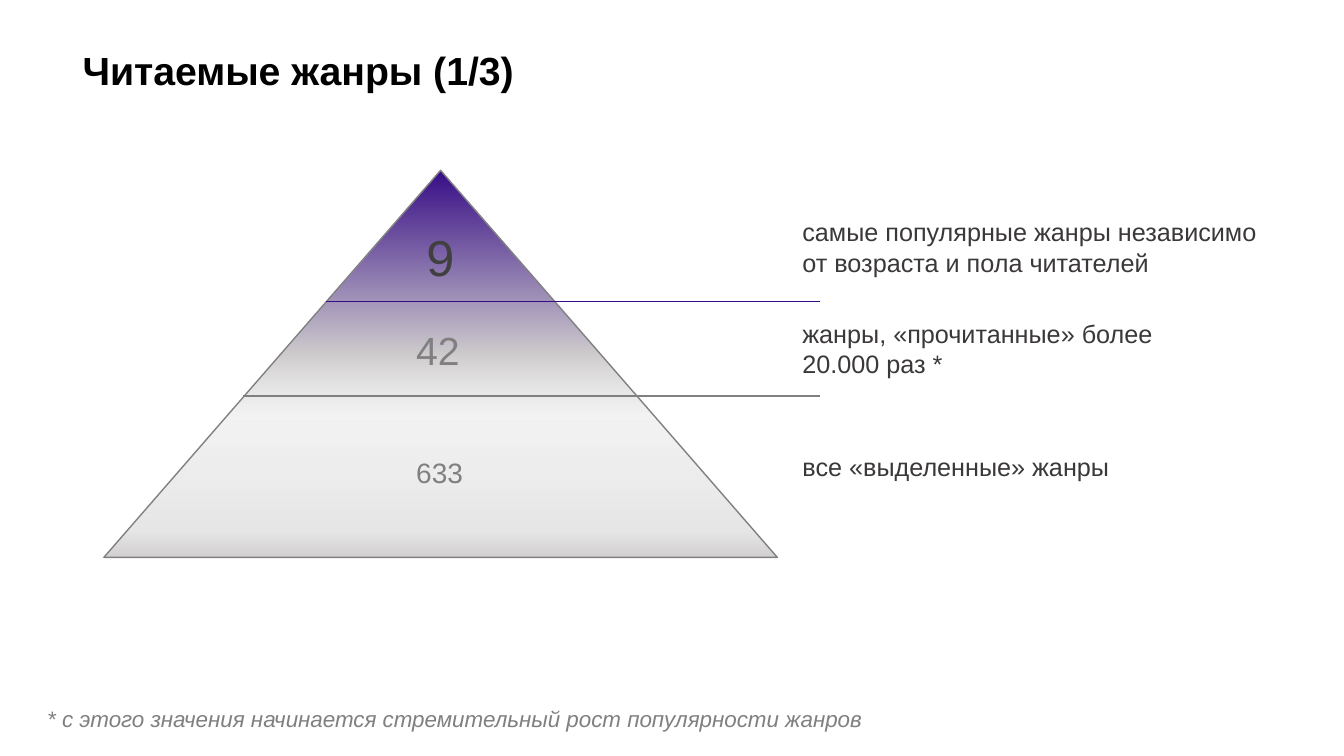
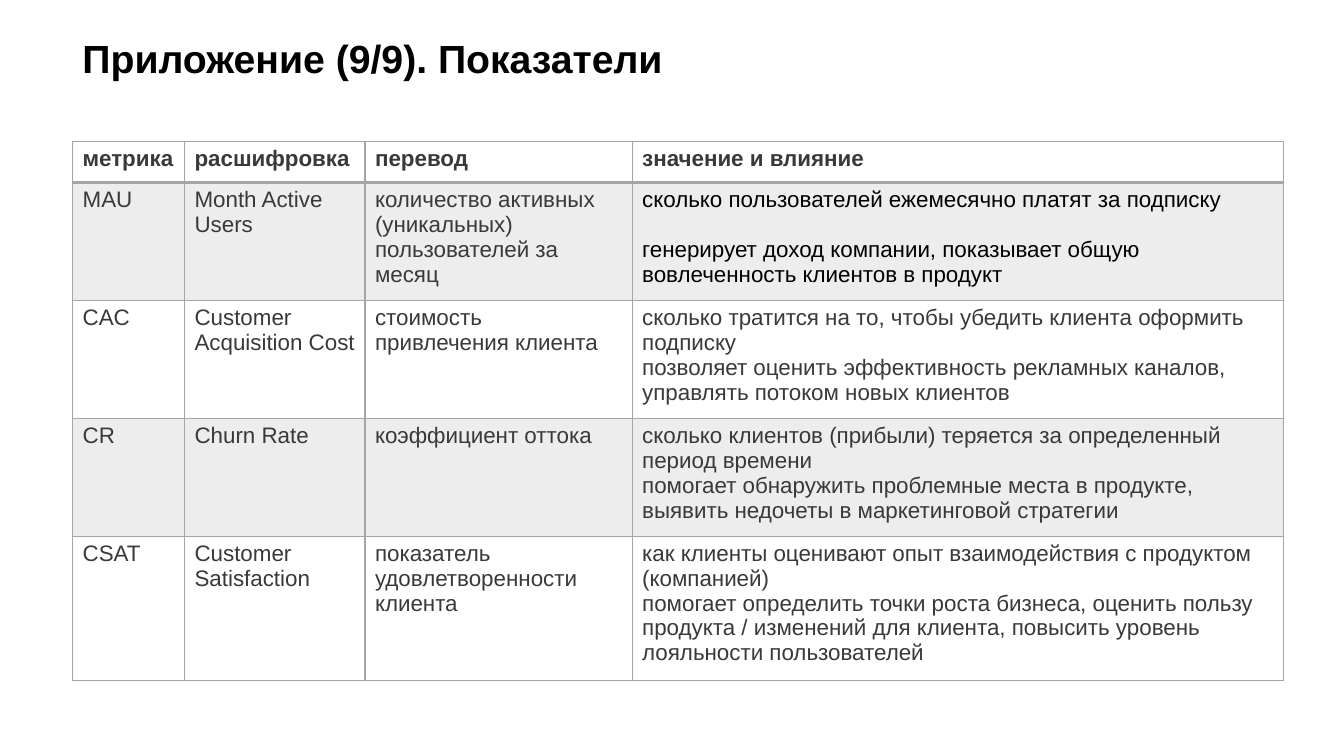
from dataclasses import dataclass

from lxml.etree import SubElement as Sub
from pptx import Presentation
from pptx.dml.color import RGBColor as Rgb
from pptx.enum.shapes import MSO_CONNECTOR as Con, MSO_SHAPE as Shp
from pptx.enum.text import MSO_AUTO_SIZE as Fit
from pptx.oxml.ns import qn
from pptx.util import Emu, Pt

PX = 9144
FONT = "Arial"
HEX = {
    "black": "000000",
    "ink": "3B3838",
    "dark": "404040",
    "grey": "808080",
    "violet": "370D86",
    "edge": "A5A5A5",
    "band": "EDEDED",
    "stone": "D0CECE",
    "pale": "E9E8E8",
    "light": "E7E6E6",
}
TITLE = {"size": Pt(28), "bold": True}
NOTE = {"size": Pt(16), "italic": True}
HEAD = {"size": Pt(16), "bold": True}
BODY = {"size": Pt(16), "bold": False}


@dataclass
class Label:
    text: str
    x: int
    y: int
    w: int
    h: int
    form: dict
    tint: str
    wrap: bool = True


@dataclass
class Rule:
    x: int
    y: int
    tint: str
    width: float


@dataclass
class Row:
    cells: tuple
    high: int
    tint: str = "ink"
    gap: float = 0


RIGHT = 813
STOPS = (
    (0, "violet", 100),
    (48, "stone", 100),
    (63, "pale", 52),
    (93, "light", 100),
    (100, "stone", 100),
)
RULES = (Rule(241, 393, "grey", 1.5), Rule(323, 299, "violet", 0.75))
LABELS = (
    Label("9", 413, 219, 48, 71, {"size": Pt(36)}, "dark", False),
    Label("42", 403, 319, 67, 57, {"size": Pt(28)}, "grey"),
    Label("633", 403, 447, 67, 44, {"size": Pt(20)}, "grey", False),
    Label("самые популярные жанры независимо от возраста и пола читателей",
          786, 210, 479, 71, {"size": Pt(18)}, "ink"),
    Label("жанры, «прочитанные» более 20.000 раз *",
          786, 311, 373, 71, {"size": Pt(18)}, "ink"),
    Label("все «выделенные» жанры", 786, 443, 331, 40, {"size": Pt(18)}, "ink"),
    Label("* с этого значения начинается стремительный рост популярности жанров",
          37, 695, 850, 37, NOTE, "grey"),
)
COLS = (111, 179, 265, 646)
ROWS = (
    Row(("метрика", "расшифровка", "перевод", "значение и влияние"), 41),
    Row(("MAU", "Month Active Users",
         "количество активных (уникальных) пользователей за месяц",
         "сколько пользователей ежемесячно платят за подписку\n"
         "генерирует доход компании, показывает общую вовлеченность "
         "клиентов в продукт"), 117, "black", 18),
    Row(("CAC", "Customer Acquisition Cost", "стоимость привлечения клиента",
         "сколько тратится на то, чтобы убедить клиента оформить подписку\n"
         "позволяет оценить эффективность рекламных каналов, управлять "
         "потоком новых клиентов"), 117),
    Row(("CR", "Churn Rate", "коэффициент оттока",
         "сколько клиентов (прибыли) теряется за определенный период времени\n"
         "помогает обнаружить проблемные места в продукте, выявить недочеты "
         "в маркетинговой стратегии"), 117),
    Row(("CSAT", "Customer Satisfaction", "показатель удовлетворенности клиента",
         "как клиенты оценивают опыт взаимодействия с продуктом (компанией)\n"
         "помогает определить точки роста бизнеса, оценить пользу продукта / "
         "изменений для клиента, повысить уровень лояльности пользователей"), 143),
)


def px(*nums: int) -> list:
    return [Emu(num * PX) for num in nums]


def rgb(tint: str) -> Rgb:
    return Rgb.from_string(HEX[tint])


def style(font, form: dict, tint: str) -> None:
    for key, val in {"name": FONT, **form}.items():
        setattr(font, key, val)
    font.color.rgb = rgb(tint)


def write(frame, text: str, form: dict, tint: str, gap: float = 0) -> None:
    frame.text = text
    for num, para in enumerate(frame.paragraphs):
        if num and gap:
            para.space_before = Pt(gap)
        for run in para.runs:
            style(run.font, form, tint)


def draw_label(slide, item: Label) -> None:
    frame = slide.shapes.add_textbox(*px(item.x, item.y, item.w, item.h)).text_frame
    frame.word_wrap = item.wrap
    frame.auto_size = Fit.SHAPE_TO_FIT_TEXT
    write(frame, item.text, item.form, item.tint)


def draw_title(slide, text: str, y: int, w: int) -> None:
    draw_label(slide, Label(text, 72, y, w, 57, TITLE, "black"))


def draw_rule(slide, item: Rule) -> None:
    line = slide.shapes.add_connector(
        Con.STRAIGHT, *px(item.x, item.y, RIGHT, item.y))
    line.line.color.rgb = rgb(item.tint)
    line.line.width = Pt(item.width)
    Sub(line._element.spPr, qn("a:effectLst"))


def draw_peak(slide) -> None:
    peak = slide.shapes.add_shape(Shp.ISOSCELES_TRIANGLE, *px(103, 169, 668, 384))
    peak.shadow.inherit = False
    peak.line.color.rgb = rgb("grey")
    peak.line.width = Pt(1)
    peak.fill.gradient()
    grad = peak._element.spPr.find(qn("a:gradFill"))
    for kid in list(grad):
        grad.remove(kid)
    stops = Sub(grad, qn("a:gsLst"))
    for pos, tint, alpha in STOPS:
        stop = Sub(stops, qn("a:gs"), pos=str(pos * 1000))
        hue = Sub(stop, qn("a:srgbClr"), val=HEX[tint])
        if alpha < 100:
            Sub(hue, qn("a:alpha"), val=str(alpha * 1000))
    Sub(grad, qn("a:lin"), ang="5400000", scaled="0")


def edge(cell, side: str, width: int) -> None:
    line = Sub(cell._tc.get_or_add_tcPr(), qn(f"a:ln{side}"), w=str(Pt(width)))
    Sub(Sub(line, qn("a:solidFill")), qn("a:srgbClr"), val=HEX["edge"])


def draw_grid(slide) -> None:
    size = px(72, 140, sum(COLS), sum(row.high for row in ROWS))
    grid = slide.shapes.add_table(len(ROWS), len(COLS), *size).table
    grid.first_row = grid.horz_banding = False
    for col, wide in zip(grid.columns, COLS):
        col.width = Emu(wide * PX)
    for num, row in enumerate(ROWS):
        grid.rows[num].height = Emu(row.high * PX)
        for col, text in enumerate(row.cells):
            cell = grid.cell(num, col)
            last = col == len(COLS) - 1
            write(cell.text_frame, text, BODY if num else HEAD,
                  row.tint if last else "ink", row.gap)
            for side in "LRTB":
                thick = (num, side) in ((0, "B"), (1, "T"))
                edge(cell, side, 2 if thick else 1)
            if num % 2:
                cell.fill.solid()
                cell.fill.fore_color.rgb = rgb("band")
            else:
                cell.fill.background()


def main() -> None:
    deck = Presentation()
    deck.slide_width, deck.slide_height = px(1333, 750)
    blank = deck.slide_layouts[6]

    slide = deck.slides.add_slide(blank)
    draw_title(slide, "Читаемые жанры (1/3)", 41, 799)
    draw_peak(slide)
    for rule in RULES:
        draw_rule(slide, rule)
    for label in LABELS:
        draw_label(slide, label)

    slide = deck.slides.add_slide(blank)
    draw_title(slide, "Приложение (9/9). Показатели", 29, 1150)
    draw_grid(slide)
    deck.save("out.pptx")


if __name__ == "__main__":
    main()
